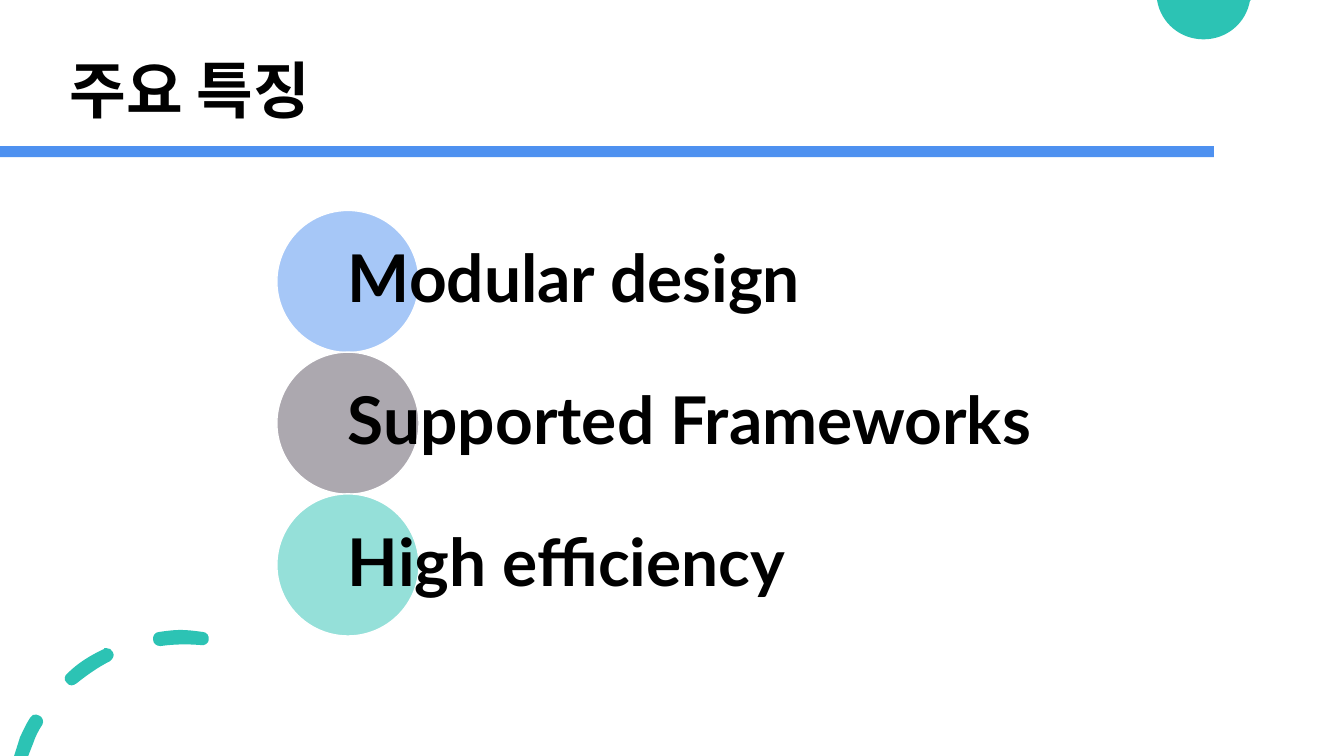
"""Build the key features slide: a title over a bar and three circled features."""
from dataclasses import dataclass

from lxml import etree
from pptx import Presentation
from pptx.dml.color import RGBColor
from pptx.enum.shapes import MSO_SHAPE
from pptx.enum.text import MSO_ANCHOR, MSO_AUTO_SIZE, PP_ALIGN
from pptx.oxml.ns import qn
from pptx.util import Emu, Inches, Pt

RECTANGLE, OVAL = MSO_SHAPE.RECTANGLE, MSO_SHAPE.OVAL
MIDDLE, LEFT, FIXED = MSO_ANCHOR.MIDDLE, PP_ALIGN.LEFT, MSO_AUTO_SIZE.NONE

WIDTH, HEIGHT = Inches(13.33), Inches(7.5)
COLUMN, ROW = WIDTH / 100, HEIGHT / 100

COLORS = {"blue": "4E91F0", "gray": "5B5260", "teal": "2CC3B4",
          "black": "000000", "white": "FFFFFF"}
TITLE_FONT = {"name": "Noto Sans CJK KR", "size": Pt(44), "bold": True}
LABEL_FONT = {"name": "Lato", "size": Pt(47), "bold": True}
FRAME_FORMAT = {"word_wrap": True, "auto_size": FIXED, "vertical_anchor": MIDDLE}
LABEL_MARGINS = {"margin_left": 0, "margin_right": 0,
                 "margin_top": Inches(0.07), "margin_bottom": Inches(0.07)}
PARAGRAPH_FORMAT = {"alignment": LEFT, "line_spacing": 0.9}

Point = tuple[float, float]


@dataclass(frozen=True)
class Area:
    """A place on the slide in grid columns and rows."""
    left: float
    top: float
    width: float
    height: float

    def lengths(self) -> list[Emu]:
        """Return left, top, width and height as slide lengths."""
        units = (COLUMN, ROW, COLUMN, ROW)
        values = (self.left, self.top, self.width, self.height)
        return [Emu(round(value * unit)) for value, unit in zip(values, units)]


@dataclass(frozen=True)
class Outline:
    """A closed outline whose segments hold one line end or three curve points."""
    start: Point
    segments: list[tuple[Point, ...]]


@dataclass(frozen=True)
class Feature:
    """A feature label with the color of its circle."""
    label: str
    color: str


FEATURES = [Feature("Modular design", "blue"),
            Feature("Supported Frameworks", "gray"),
            Feature("High efficiency", "teal")]
FEATURE_TOP, FEATURE_PITCH, FEATURE_HEIGHT = 27.83, 18.75, 18.8
CIRCLE_LEFT, CIRCLE_WIDTH = 20.6, 10.58
LABEL_LEFT, LABEL_WIDTH = 25.88, 56.26
TITLE_AREA = Area(4.43, 5.33, 85.88, 14)
BAR_AREA = Area(0, 19.33, 90.32, 1.47)

CORNER_CAP = [Outline((86.1, 0), [
    ((93.08, 0),), ((93, 0.13),),
    ((92.7, 3.07), (91.28, 5.2), (89.55, 5.2)),
    ((87.83, 5.2), (86.4, 3.07), (86.1, 0.13))])]
ARC_DASHES = [
    Outline((2.7, 94.53), [
        ((2.55, 94.4), (2.33, 94.67), (2.25, 94.93)),
        ((1.95, 95.73), (1.73, 96.67), (1.5, 97.47)),
        ((1.05, 100),), ((2.1, 100),), ((2.48, 98.27),),
        ((2.63, 97.47), (2.85, 96.67), (3.15, 95.87)),
        ((3.3, 95.47), (3.15, 94.8), (2.93, 94.67)),
        ((2.85, 94.53), (2.78, 94.53), (2.7, 94.53))]),
    Outline((7.88, 85.73), [
        ((7.8, 85.73), (7.73, 85.73), (7.73, 85.87)),
        ((6.75, 86.67), (5.78, 87.73), (5.03, 89.07)),
        ((4.8, 89.33), (4.73, 90), (4.95, 90.27)),
        ((5.03, 90.53), (5.18, 90.67), (5.33, 90.67)),
        ((5.48, 90.67), (5.55, 90.53), (5.7, 90.4)),
        ((6.45, 89.33), (7.28, 88.27), (8.18, 87.47)),
        ((8.4, 87.2), (8.55, 86.67), (8.4, 86.27)),
        ((8.33, 85.87), (8.1, 85.73), (7.88, 85.73))]),
    Outline((13.43, 83.33), [
        ((12.9, 83.33), (12.38, 83.47), (11.85, 83.6)),
        ((11.55, 83.6), (11.33, 84.13), (11.4, 84.67)),
        ((11.4, 85.07), (11.63, 85.47), (11.93, 85.47)),
        ((12.98, 85.2), (13.95, 85.2), (14.93, 85.33)),
        ((15.23, 85.47), (15.53, 85.07), (15.53, 84.67)),
        ((15.6, 84.13), (15.38, 83.6), (15.08, 83.6)),
        ((14.55, 83.47), (13.95, 83.33), (13.43, 83.33))])]


def apply_format(target, values: dict) -> None:
    """Set every named attribute on the target."""
    for name, value in values.items():
        setattr(target, name, value)


def paint(shape, color: str) -> None:
    """Give the shape a flat fill with neither line nor shadow."""
    shape.shadow.inherit = False
    shape.fill.solid()
    shape.fill.fore_color.rgb = RGBColor.from_string(COLORS[color])
    shape.line.fill.background()


def bend(shape, outlines: list[Outline]) -> None:
    """Join the lines of each three-point segment into one cubic curve."""
    lines = iter(list(shape._element.iter(qn("a:lnTo"))))
    for outline in outlines:
        for segment in outline.segments:
            parts = [next(lines) for _ in segment]
            if len(parts) == 3:
                curve = etree.Element(qn("a:cubicBezTo"))
                parts[0].addprevious(curve)
                for part in parts:
                    curve.append(part[0])
                    part.getparent().remove(part)


def draw_outlines(page, outlines: list[Outline], color: str) -> None:
    """Draw all outlines as one filled freeform."""
    first_x, first_y = outlines[0].start
    builder = page.shapes.build_freeform(first_x * COLUMN, first_y * ROW)
    for index, outline in enumerate(outlines):
        if index:
            builder.move_to(outline.start[0] * COLUMN, outline.start[1] * ROW)
        points = [(x * COLUMN, y * ROW) for segment in outline.segments for x, y in segment]
        builder.add_line_segments(points, close=True)
    shape = builder.convert_to_shape()
    bend(shape, outlines)
    paint(shape, color)


def write(box, text: str, font_format: dict) -> None:
    """Write one formatted line of text into the box."""
    apply_format(box.text_frame, FRAME_FORMAT)
    para = box.text_frame.paragraphs[0]
    apply_format(para, PARAGRAPH_FORMAT)
    span = para.add_run()
    span.text = text
    apply_format(span.font, font_format)
    span.font.color.rgb = RGBColor.from_string(COLORS["black"])


def draw_feature(group, feature: Feature, index: int) -> None:
    """Draw a half-transparent circle and its label in the group."""
    top = FEATURE_TOP + index * FEATURE_PITCH
    circle_area = Area(CIRCLE_LEFT, top, CIRCLE_WIDTH, FEATURE_HEIGHT)
    circle = group.shapes.add_shape(OVAL, *circle_area.lengths())
    paint(circle, feature.color)
    color = circle._element.spPr.find(qn("a:solidFill"))[0]
    etree.SubElement(color, qn("a:alpha")).set("val", "50000")
    circle.line.color.rgb = RGBColor.from_string(COLORS["white"])
    circle.line.width = Pt(1)
    label_area = Area(LABEL_LEFT, top, LABEL_WIDTH, FEATURE_HEIGHT)
    box = group.shapes.add_textbox(*label_area.lengths())
    apply_format(box.text_frame, LABEL_MARGINS)
    write(box, feature.label, LABEL_FONT)


def main() -> None:
    """Build and save the deck."""
    deck = Presentation()
    apply_format(deck, {"slide_width": WIDTH, "slide_height": HEIGHT})
    page = deck.slides.add_slide(deck.slide_layouts.get_by_name("Title Only"))
    draw_outlines(page, CORNER_CAP, "teal")
    draw_outlines(page, ARC_DASHES, "teal")
    paint(page.shapes.add_shape(RECTANGLE, *BAR_AREA.lengths()), "blue")
    title = page.shapes.title
    apply_format(title, dict(zip(("left", "top", "width", "height"), TITLE_AREA.lengths())))
    write(title, "주요 특징", TITLE_FONT)
    group = page.shapes.add_group_shape()
    for index, feature in enumerate(FEATURES):
        draw_feature(group, feature, index)
    deck.save("out.pptx")


if __name__ == "__main__":
    main()
